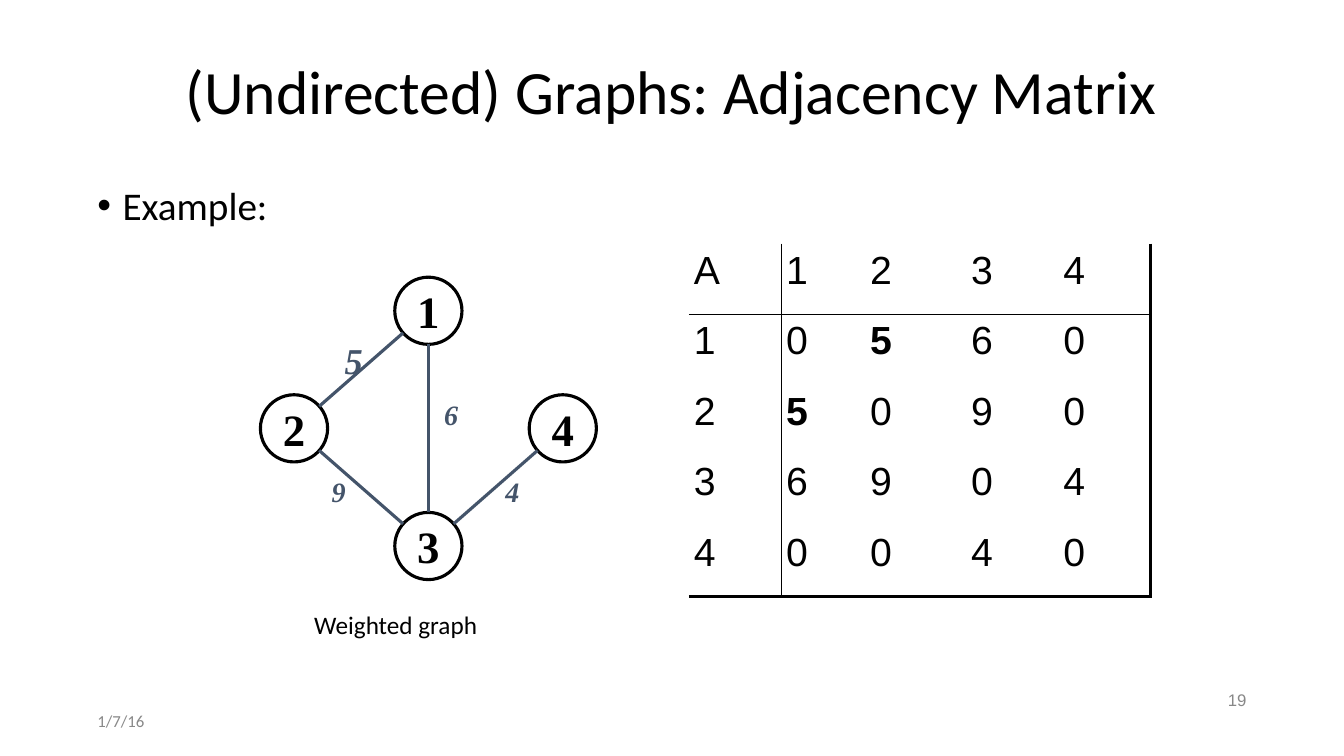
from dataclasses import dataclass
from math import hypot

from lxml import etree
from pptx import Presentation, util as u
from pptx.dml.color import RGBColor
from pptx.enum import shapes, text
from pptx.oxml import ns
from pptx.shapes.autoshape import Shape
from pptx.slide import Slide
from pptx.table import Table, _Cell
from pptx.text.text import TextFrame

# The slide is a grid of 160 columns by 90 rows of square cells.
COLUMNS, ROWS = 160, 90
CELL = u.Inches(7.5) / ROWS
INSET = u.Inches(0.05)

BLACK = RGBColor(0x00, 0x00, 0x00)
GREY = RGBColor(0x88, 0x88, 0x88)
SLATE = RGBColor(0x44, 0x54, 0x6A)

THIN, THICK = u.Pt(1), u.Pt(2.25)
NO_STYLE_NO_GRID = "{2D5ABB26-0587-4C30-8999-92F81FD0307C}"


@dataclass(frozen=True)
class Node:
    label: str
    column: float
    row: float


@dataclass(frozen=True)
class Edge:
    start: str
    end: str
    weight: int
    column: float
    row: float
    highlighted: bool = False


RADIUS = 4
NODES = [Node("1", 51, 37), Node("2", 35, 51), Node("3", 51, 65), Node("4", 67, 51)]
EDGES = [
    Edge("1", "2", 5, 42.1, 42.8, highlighted=True),
    Edge("2", "3", 9, 40.3, 58.5),
    Edge("4", "3", 4, 61, 58.5),
    Edge("1", "3", 6, 53.7, 49.3),
]

MATRIX_LEFT, MATRIX_TOP = 82, 29
MATRIX_WIDTHS = [11, 10, 12, 11, 11]
MATRIX_ROW = 8.4


def grid(cells: float) -> u.Emu:
    return u.Emu(round(cells * CELL))


def write(frame: TextFrame, words: str, *, size: float, font: str = "Calibri",
          color: RGBColor = BLACK, bold: bool = False, italic: bool = False,
          align=text.PP_ALIGN.LEFT, anchor=text.MSO_ANCHOR.TOP,
          wrap: bool = True, spacing: float = 1.0) -> None:
    frame.word_wrap = wrap
    frame.vertical_anchor = anchor
    frame.margin_left = frame.margin_right = INSET
    frame.margin_top = frame.margin_bottom = INSET
    paragraph = frame.paragraphs[0]
    paragraph.alignment = align
    paragraph.line_spacing = spacing
    run = paragraph.add_run()
    run.text = words
    run.font.name, run.font.size = font, u.Pt(size)
    run.font.bold, run.font.italic = bold, italic
    run.font.color.rgb = color


def add_text(slide: Slide, words: str, left: float, top: float,
             width: float, height: float, **style) -> Shape:
    box = slide.shapes.add_textbox(grid(left), grid(top), grid(width), grid(height))
    write(box.text_frame, words, **style)
    return box


def add_bullet(box: Shape) -> None:
    properties = box.text_frame.paragraphs[0]._p.get_or_add_pPr()
    properties.set("marL", str(grid(3)))
    properties.set("indent", str(-grid(3)))
    etree.SubElement(properties, ns.qn("a:buFont"), typeface="Arial")
    etree.SubElement(properties, ns.qn("a:buChar"), char="•")


def draw_node(slide: Slide, node: Node) -> None:
    circle = slide.shapes.add_shape(
        shapes.MSO_SHAPE.OVAL, grid(node.column - RADIUS), grid(node.row - RADIUS),
        grid(2 * RADIUS), grid(2 * RADIUS))
    circle.shadow.inherit = False
    circle.fill.background()
    circle.line.color.rgb = BLACK
    circle.line.width = THICK
    write(circle.text_frame, node.label, size=32, font="Times New Roman", bold=True,
          align=text.PP_ALIGN.CENTER, anchor=text.MSO_ANCHOR.MIDDLE, wrap=False)


def draw_edge(slide: Slide, edge: Edge) -> None:
    """Draw the line from rim to rim, and the weight beside it."""
    by_label = {node.label: node for node in NODES}
    start, end = by_label[edge.start], by_label[edge.end]
    across, down = end.column - start.column, end.row - start.row
    share = RADIUS / hypot(across, down)
    line = slide.shapes.add_connector(
        shapes.MSO_CONNECTOR.STRAIGHT,
        grid(start.column + share * across), grid(start.row + share * down),
        grid(end.column - share * across), grid(end.row - share * down))
    line.line.color.rgb = SLATE
    line.line.width = THICK
    etree.SubElement(line._element.spPr, ns.qn("a:effectLst"))
    add_text(slide, str(edge.weight), edge.column - 2, edge.row - 3, 4, 6,
             size=26 if edge.highlighted else 20, font="Times New Roman",
             color=SLATE, bold=True, italic=True, wrap=False,
             align=text.PP_ALIGN.CENTER, anchor=text.MSO_ANCHOR.MIDDLE)


def set_borders(cell: _Cell, widths: dict[str, int]) -> None:
    """Rule the sides L, R, T and B; a width of 0 leaves a side open."""
    properties = cell._tc.get_or_add_tcPr()
    for side, width in widths.items():
        border = etree.SubElement(properties, ns.qn(f"a:ln{side}"), w=str(int(width)))
        if width:
            fill = etree.SubElement(border, ns.qn("a:solidFill"))
            etree.SubElement(fill, ns.qn("a:srgbClr"), val=str(BLACK))
        else:
            etree.SubElement(border, ns.qn("a:noFill"))


def add_plain_table(slide: Slide, size: int) -> Table:
    frame = slide.shapes.add_table(
        size, size, grid(MATRIX_LEFT), grid(MATRIX_TOP),
        grid(sum(MATRIX_WIDTHS)), grid(MATRIX_ROW * size))
    table = frame.table
    table.first_row = table.horz_banding = False
    table._tbl.tblPr.find(ns.qn("a:tableStyleId")).text = NO_STYLE_NO_GRID
    for column, width in zip(table.columns, MATRIX_WIDTHS):
        column.width = grid(width)
    for row in table.rows:
        row.height = grid(MATRIX_ROW)
    return table


def draw_matrix(slide: Slide) -> None:
    labels = [node.label for node in NODES]
    joined = {frozenset((edge.start, edge.end)): edge for edge in EDGES}
    last = len(labels)
    table = add_plain_table(slide, last + 1)
    for r, row_label in enumerate(["A", *labels]):
        for c, column_label in enumerate(["A", *labels]):
            edge = joined.get(frozenset((row_label, column_label)))
            if r == 0 or c == 0:
                words = column_label if r == 0 else row_label
            else:
                words = str(edge.weight) if edge else "0"
            cell = table.cell(r, c)
            set_borders(cell, {
                "L": THIN if c == 1 else 0,
                "R": {0: THIN, last: THICK}.get(c, 0),
                "T": THIN if r == 1 else 0,
                "B": {0: THIN, last: THICK}.get(r, 0),
            })
            cell.fill.background()
            cell.margin_left = cell.margin_right = INSET
            cell.margin_top = cell.margin_bottom = INSET
            cell.vertical_anchor = text.MSO_ANCHOR.TOP
            write(cell.text_frame, words, size=28, font="Arial",
                  bold=bool(edge and edge.highlighted))


def main() -> None:
    deck = Presentation()
    deck.slide_width, deck.slide_height = grid(COLUMNS), grid(ROWS)
    slide = deck.slides.add_slide(deck.slide_layouts[6])
    middle = text.MSO_ANCHOR.MIDDLE

    add_text(slide, "(Undirected) Graphs: Adjacency Matrix", 11, 4.8, 138, 12.8,
             size=44, align=text.PP_ALIGN.CENTER, anchor=middle, spacing=0.9)
    example = add_text(slide, "Example:", 11, 21.6, 138, 6, size=28, spacing=0.9)
    add_bullet(example)

    for node in NODES:
        draw_node(slide, node)
    for edge in EDGES:
        draw_edge(slide, edge)
    add_text(slide, "Weighted graph", 36.8, 72, 20.8, 4.9, size=18, wrap=False)
    draw_matrix(slide)

    add_text(slide, "1/7/16", 11, 84, 36, 3.5, size=12, color=GREY, anchor=middle)
    add_text(slide, "19", 113, 81.6, 36, 3.5, size=12, font="Arial", color=GREY,
             align=text.PP_ALIGN.RIGHT, anchor=middle)
    deck.save("out.pptx")


if __name__ == "__main__":
    main()
